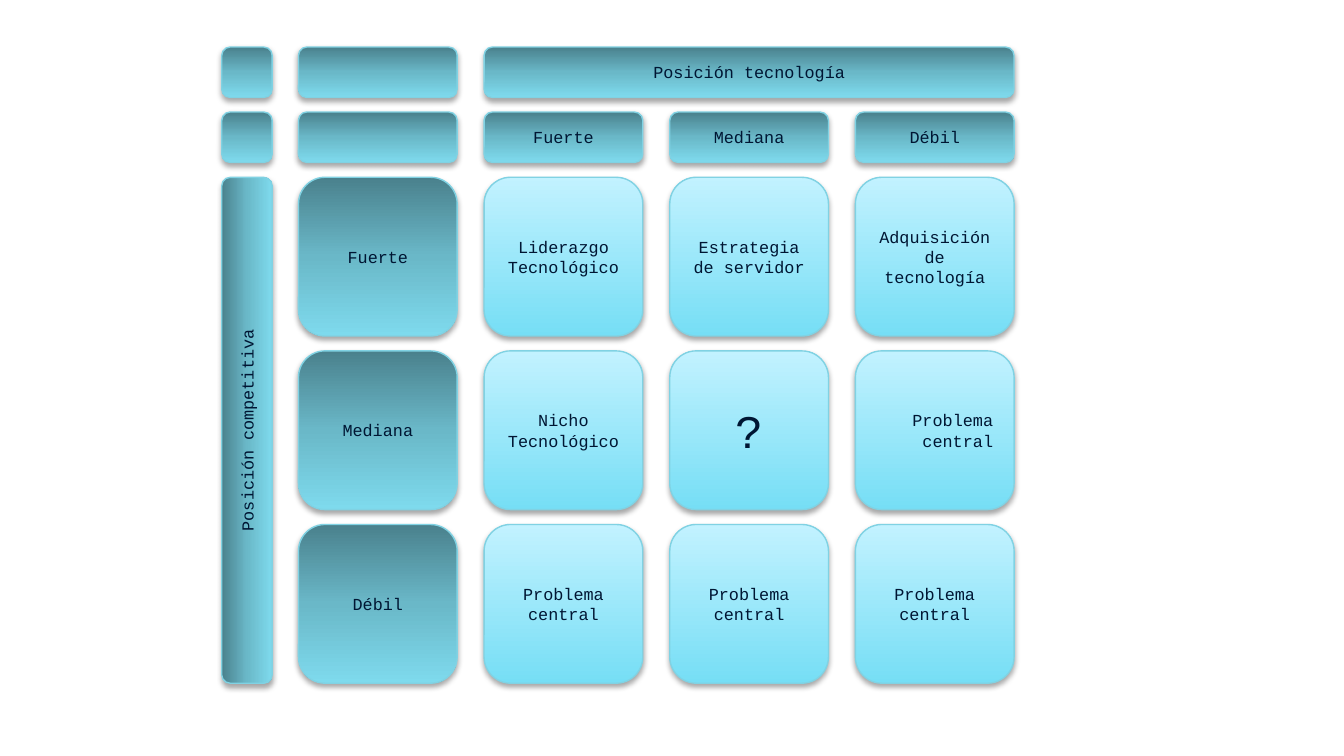
from lxml import etree
from pptx import Presentation
from pptx.dml.color import RGBColor
from pptx.enum import shapes, text
from pptx.oxml import ns
from pptx.util import Pt

INK = RGBColor(0x00, 0x16, 0x33)
EDGE = RGBColor(0x80, 0xD2, 0xE3)
SHADE = RGBColor(0x00, 0x00, 0x00)
LIGHT = [(0, RGBColor(0x76, 0xDE, 0xF5)), (100, RGBColor(0xC2, 0xF2, 0xFF))]
DARK = [(0, RGBColor(0x4A, 0x81, 0x8D)), (50, RGBColor(0x6A, 0xB8, 0xC8)),
        (100, RGBColor(0x7E, 0xDA, 0xED))]

FONT = "Courier New"
LEFT, SIDE_LEFT = 159.9, 118.8
TOP, HEADER_TOPS = 95, (25.2, 60)
PITCH_X, PITCH_Y = 99.45, 93
CELL, BAR = 85, 27

LEVELS = ["Fuerte", "Mediana", "Débil"]
STRATEGIES = [
    ["Liderazgo\nTecnológico", "Estrategia de servidor", "Adquisición de tecnología"],
    ["Nicho Tecnológico", "?", "Problema central"],
    ["Problema central", "Problema central", "Problema central"],
]


def add_color(parent, color, alpha=None):
    clr = etree.SubElement(parent, ns.qn("a:srgbClr"), val=str(color))
    if alpha is not None:
        etree.SubElement(clr, ns.qn("a:alpha"), val=str(alpha * 1000))


def set_gradient(sp, stops, angle):
    """Fill with any number of stops; the angle runs counter-clockwise."""
    sp.fill.gradient()
    sp.fill.gradient_angle = angle
    gs_list = sp._element.spPr.find(".//" + ns.qn("a:gsLst"))
    for gs in list(gs_list):
        gs_list.remove(gs)
    for position, color in stops:
        gs = etree.SubElement(gs_list, ns.qn("a:gs"), pos=str(position * 1000))
        add_color(gs, color)


def set_shadow(sp):
    sp.shadow.inherit = False
    effects = sp._element.spPr.find(ns.qn("a:effectLst"))
    outer = etree.SubElement(effects, ns.qn("a:outerShdw"), blurRad=str(Pt(3.1)),
                             dist=str(Pt(1.8)), dir="5400000", rotWithShape="0")
    add_color(outer, SHADE, alpha=35)


def write(sp, content, size=9, align=text.PP_ALIGN.CENTER):
    tf = sp.text_frame
    tf.word_wrap = True
    tf.vertical_anchor = text.MSO_ANCHOR.MIDDLE
    tf.text = content
    for p in tf.paragraphs:
        p.alignment = align
        for r in p.runs:
            r.font.name = FONT
            r.font.size = Pt(size)
            r.font.color.rgb = INK


def add_tile(s, x, y, w, h, stops=DARK, angle=270):
    sp = s.shapes.add_shape(shapes.MSO_SHAPE.ROUNDED_RECTANGLE,
                            Pt(x), Pt(y), Pt(w), Pt(h))
    set_gradient(sp, stops, angle)
    sp.line.color.rgb = EDGE
    sp.line.width = Pt(0.75)
    set_shadow(sp)
    return sp


def column_x(i):
    return LEFT + i * PITCH_X


def row_y(i):
    return TOP + i * PITCH_Y


def add_strategies(s):
    for col in range(3):
        for row in range(3):
            sp = add_tile(s, column_x(col + 1), row_y(row), CELL, CELL, LIGHT, 90)
            right = (row, col) == (1, 2)
            content = STRATEGIES[row][col]
            write(sp, content, size=25 if content == "?" else 9,
                  align=text.PP_ALIGN.RIGHT if right else text.PP_ALIGN.CENTER)


def add_levels(s):
    for i, level in enumerate(LEVELS):
        write(add_tile(s, column_x(i + 1), HEADER_TOPS[1], CELL, BAR), level)
        write(add_tile(s, LEFT, row_y(i), CELL, CELL), level)


def add_axes(s):
    top_axis = add_tile(s, column_x(1), HEADER_TOPS[0], 2 * PITCH_X + CELL, BAR)
    write(top_axis, "Posición tecnología")

    length = 2 * PITCH_Y + CELL
    side_axis = add_tile(s, SIDE_LEFT + (BAR - length) / 2,
                         TOP + (length - BAR) / 2, length, BAR)
    side_axis.rotation = 270
    write(side_axis, "Posición competitiva")


def add_corners(s):
    for y in HEADER_TOPS:
        add_tile(s, LEFT, y, CELL, BAR)
        add_tile(s, SIDE_LEFT, y, BAR, BAR)


def main():
    prs = Presentation()
    prs.slide_width, prs.slide_height = Pt(720), Pt(405)
    s = prs.slides.add_slide(prs.slide_layouts[6])
    add_strategies(s)
    add_levels(s)
    add_axes(s)
    add_corners(s)
    prs.save("out.pptx")


if __name__ == "__main__":
    main()
